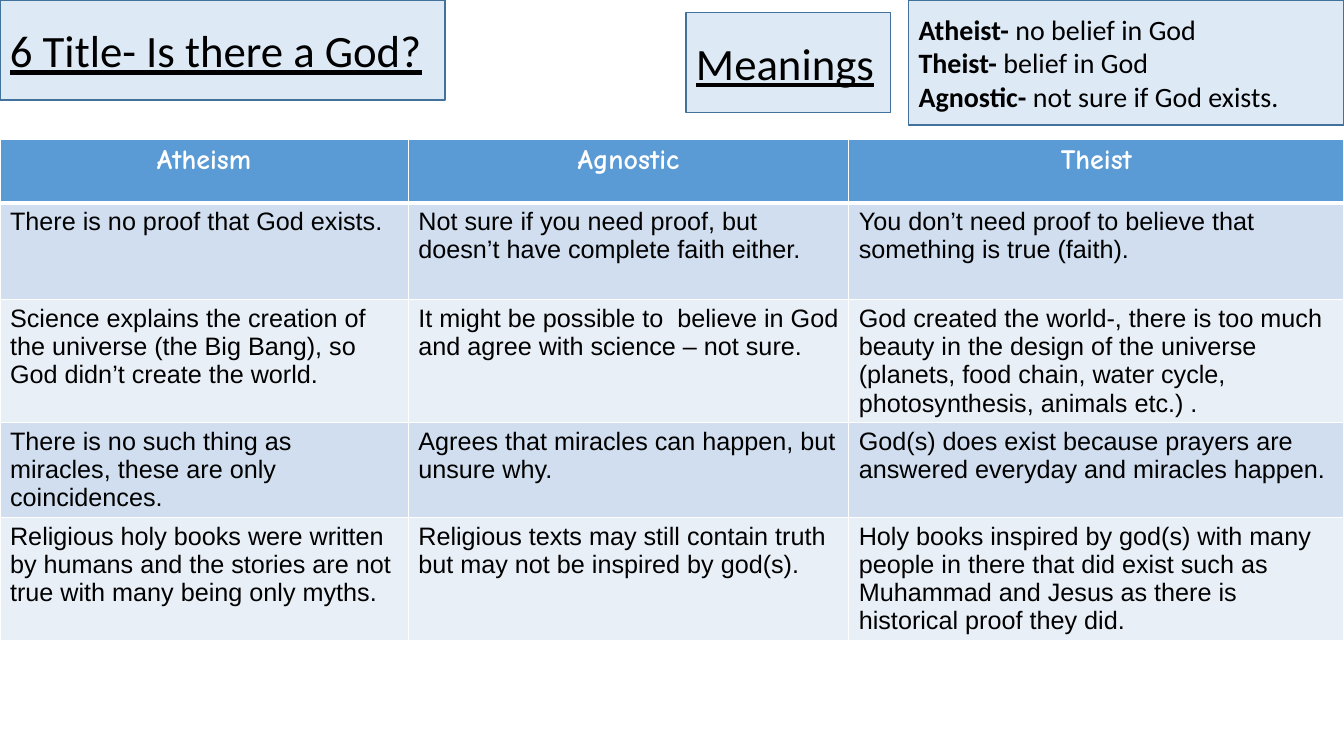
from dataclasses import dataclass

from lxml.etree import SubElement
from pptx import Presentation
from pptx.dml.color import RGBColor as RGB
from pptx.enum.shapes import MSO_SHAPE as Shape
from pptx.enum.text import MSO_ANCHOR as Anchor, PP_ALIGN as Align
from pptx.oxml.ns import qn
from pptx.util import Cm, Pt


@dataclass(frozen=True)
class Theme:
    ink: str = "000000"
    white: str = "FFFFFF"
    panel: str = "DDEAF6"
    edge: str = "42719B"
    head: str = "5B9BD5"
    bands: tuple = ("D0DEEF", "E9EFF7")
    label: str = "Calibri"
    top: str = "Comic Neue"
    body: str = "Arial"
    title: int = 32
    mid: int = 20
    small: int = 18


class Board:
    def __init__(self, deck, theme):
        self.theme = theme
        self.slide = deck.slides.add_slide(deck.slide_layouts[6])

    def style(self, par, face, size, ink, align=Align.LEFT):
        par.alignment = align
        par.font.name = face
        par.font.size = Pt(size)
        par.font.color.rgb = RGB.from_string(ink)

    def panel(self, place, lines, size, under=False):
        """Each line is a pair: a bold lead and the plain text after it."""
        look = self.theme
        box = self.slide.shapes.add_shape(Shape.RECTANGLE, *map(Cm, place))
        box.shadow.inherit = False
        box.fill.solid()
        box.fill.fore_color.rgb = RGB.from_string(look.panel)
        box.line.color.rgb = RGB.from_string(look.edge)
        box.line.width = Pt(1)
        frame = box.text_frame
        frame.word_wrap = True
        frame.vertical_anchor = Anchor.MIDDLE
        for i, (lead, rest) in enumerate(lines):
            par = frame.add_paragraph() if i else frame.paragraphs[0]
            if lead:
                run = par.add_run()
                run.text = lead
                run.font.bold = True
            par.add_run().text = rest
            self.style(par, look.label, size, look.ink)
            if under:
                par.font.underline = True
                par.runs[0].font.underline = True

    def border(self, cell, base):
        """Draw white cell edges, with the bottom one base points wide."""
        props = cell._tc.get_or_add_tcPr()
        for side, width in zip("LRTB", (1, 1, 1, base)):
            line = SubElement(props, qn(f"a:ln{side}"), w=str(Pt(width)))
            fill = SubElement(line, qn("a:solidFill"))
            SubElement(fill, qn("a:srgbClr"), val=self.theme.white)

    def table(self, place, cols, rows, data):
        look = self.theme
        size = map(Cm, (*place, sum(cols), sum(rows)))
        grid = self.slide.shapes.add_table(len(rows), len(cols), *size).table
        for col, width in zip(grid.columns, cols):
            col.width = Cm(width)
        for r, (row, high) in enumerate(zip(grid.rows, rows)):
            row.height = Cm(high)
            for cell, text in zip(row.cells, data[r]):
                cell.text = text
                par = cell.text_frame.paragraphs[0]
                if r:
                    tint = look.bands[(r - 1) % 2]
                    self.style(par, look.body, look.small, look.ink)
                else:
                    tint = look.head
                    self.style(par, look.top, look.mid, look.white, Align.CENTER)
                par.font.bold = r == 0
                self.border(cell, 1 if r else 3)
                cell.fill.solid()
                cell.fill.fore_color.rgb = RGB.from_string(tint)


VIEWS = [
    ("Atheism", "Agnostic", "Theist"),
    ("There is no proof that God exists.",
     "Not sure if you need proof, but doesn’t have complete faith either.",
     "You don’t need proof to believe that something is true (faith)."),
    ("Science explains the creation of the universe (the Big Bang), so God "
     "didn’t create the world.",
     "It might be possible to  believe in God and agree with science – not sure.",
     "God created the world-, there is too much beauty in the design of the "
     "universe (planets, food chain, water cycle, photosynthesis, animals etc.) ."),
    ("There is no such thing as miracles, these are only coincidences.",
     "Agrees that miracles can happen, but unsure why.",
     "God(s) does exist because prayers are answered everyday and miracles happen."),
    ("Religious holy books were written by humans and the stories are not true "
     "with many being only myths.",
     "Religious texts may still contain truth but may not be inspired by god(s).",
     "Holy books inspired by god(s) with many people in there that did exist such "
     "as Muhammad and Jesus as there is historical proof they did."),
]
TERMS = [
    ("Atheist-", " no belief in God"),
    ("Theist-", " belief in God"),
    ("Agnostic-", " not sure if God exists."),
]


def main():
    deck = Presentation()
    deck.slide_width, deck.slide_height = Cm(33.87), Cm(19.05)
    look = Theme()
    board = Board(deck, look)
    board.panel((0, 0, 11.22, 2.52), [("", "6 Title- Is there a God?")],
                look.title, under=True)
    board.panel((22.9, 0, 10.97, 3.15), TERMS, look.mid)
    board.table((0, 3.51), (10.29, 11.1, 12.48),
                (1.6, 2.44, 2.92, 2.06, 2.01), VIEWS)
    board.panel((17.29, 0.31, 5.16, 2.52), [("", "Meanings")],
                look.title, under=True)
    deck.save("out.pptx")


if __name__ == "__main__":
    main()
